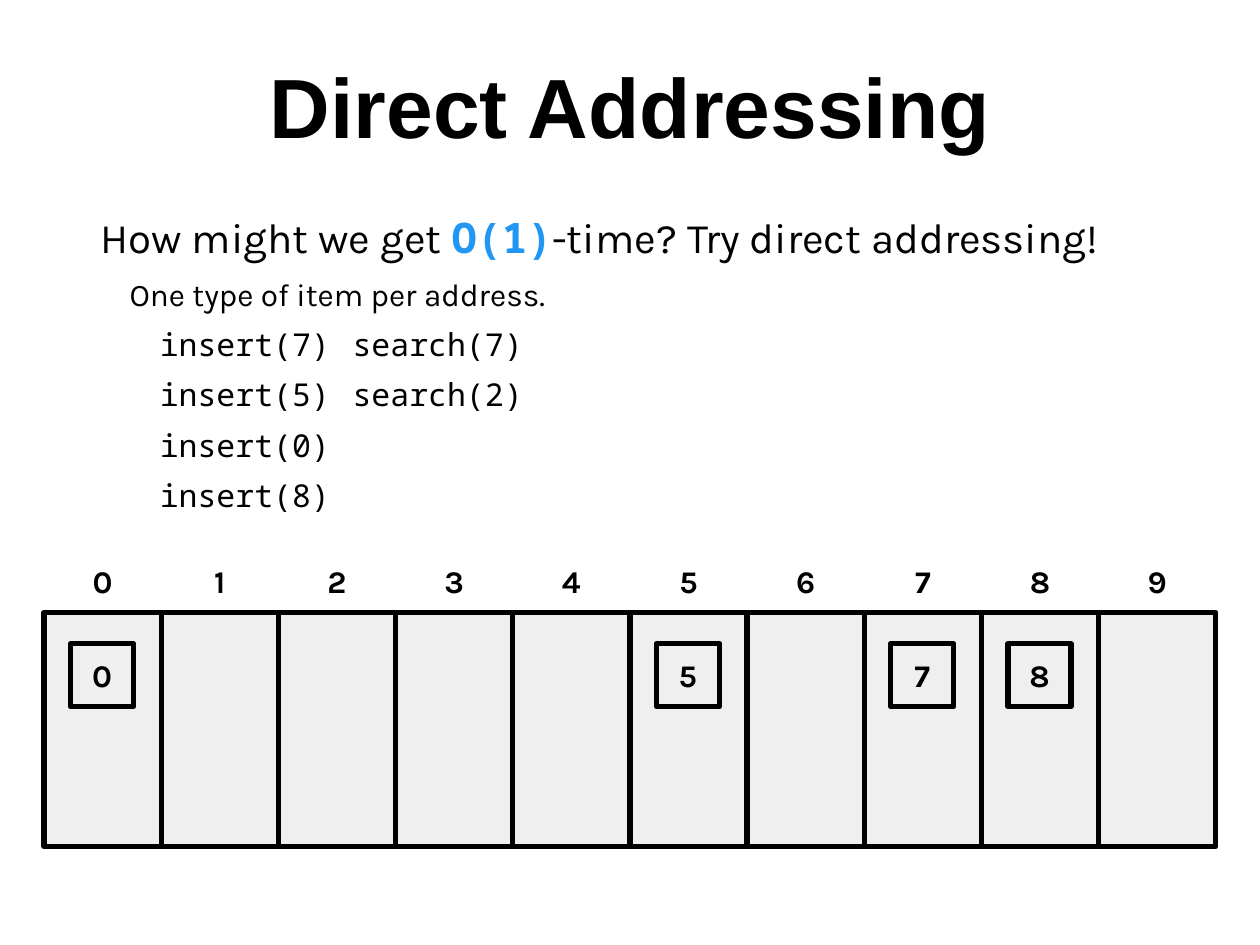
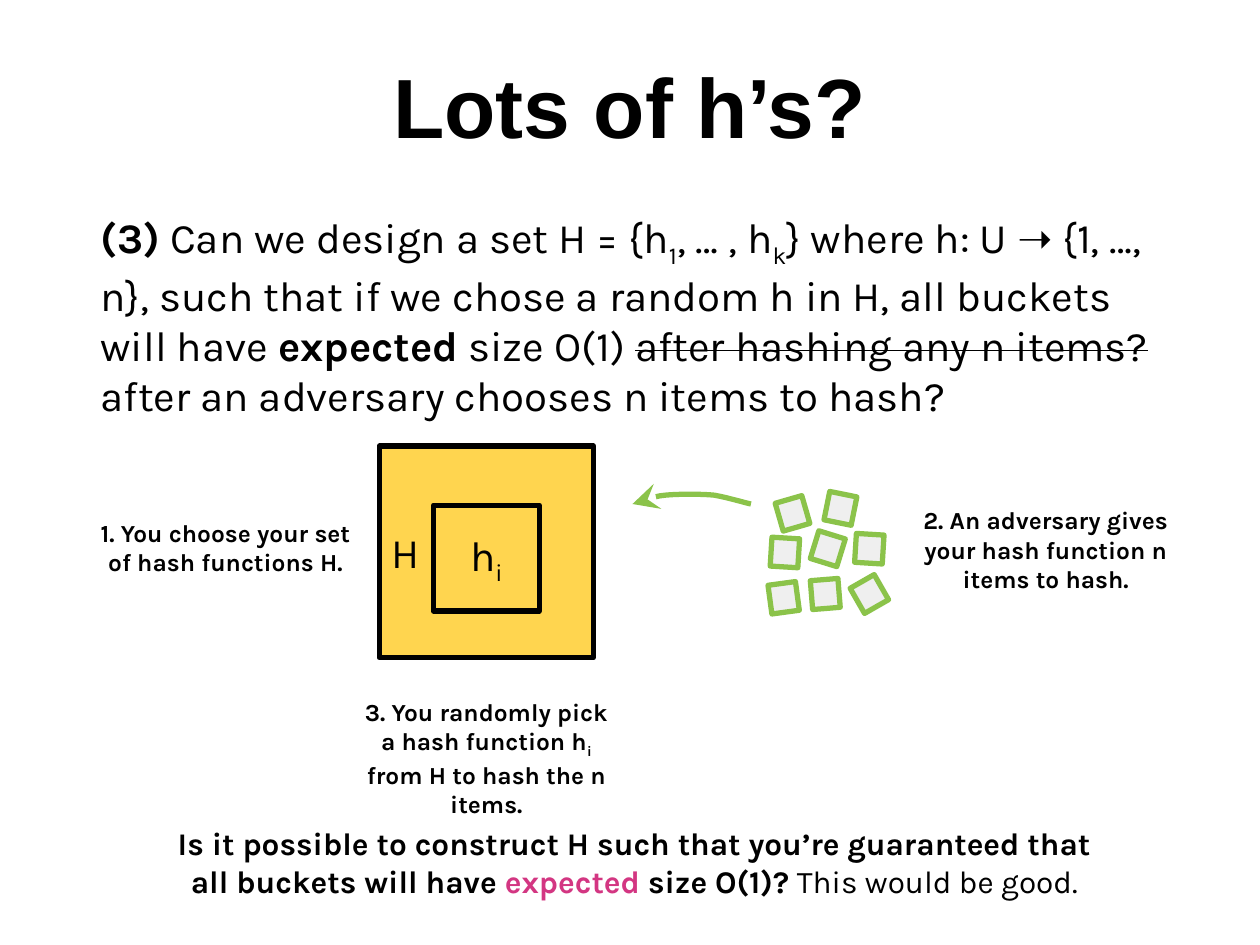
from lxml.etree import SubElement
from pptx import Presentation
from pptx.dml.color import RGBColor
from pptx.enum.shapes import MSO_SHAPE
from pptx.enum.text import MSO_ANCHOR, PP_ALIGN
from pptx.oxml.ns import qn
from pptx.util import Inches, Pt

BLACK = RGBColor(0x00, 0x00, 0x00)
GREY = RGBColor(0xEF, 0xEF, 0xEF)
BLUE = RGBColor(0x21, 0x96, 0xF3)
YELLOW = RGBColor(0xFF, 0xD5, 0x4F)
GREEN = RGBColor(0x8B, 0xC3, 0x4A)
PINK = RGBColor(0xD3, 0x36, 0x82)

TITLE_FONT, BODY_FONT, CODE_FONT = "Arial", "Karla", "Noto Sans Mono"
BODY_BOX = (0.7, 1.58, 8.67, 5.92)
BOLD = {"bold": True}
SUB = {"baseline": "-25000"}
STRIKE = {"strike": "sngStrike"}
LINE_WIDTH = Pt(3)


# Text helpers
def write(p, runs, size, align=PP_ALIGN.LEFT, bold=False, font=BODY_FONT, before=0):
    """Fill a paragraph from a string or from (text, style) pairs."""
    p.alignment = align
    p.space_before = Pt(before)
    for text, style in [(runs, {})] if isinstance(runs, str) else runs:
        r = p.add_run()
        r.text = text
        r.font.size = Pt(size)
        r.font.name = style.get("font", font)
        r.font.bold = style.get("bold", bold)
        r.font.color.rgb = style.get("color", BLACK)
        for name in ("baseline", "strike"):
            if name in style:
                r.font._element.set(name, style[name])


def set_up_frame(tf, anchor):
    tf.word_wrap = True
    tf.vertical_anchor = anchor
    tf.margin_left = tf.margin_right = tf.margin_top = tf.margin_bottom = Inches(0.1)


def add_text(slide, box, anchor=MSO_ANCHOR.TOP):
    tf = slide.shapes.add_textbox(*map(Inches, box)).text_frame
    set_up_frame(tf, anchor)
    return tf


def add_label(slide, box, runs, size, anchor=MSO_ANCHOR.TOP, font=BODY_FONT):
    tf = add_text(slide, box, anchor)
    write(tf.paragraphs[0], runs, size, PP_ALIGN.CENTER, True, font)


def indent_first_line(p, indent, tab=None):
    pPr = p._p.get_or_add_pPr()
    pPr.set("marL", "0")
    pPr.set("indent", str(Inches(indent)))
    if tab:
        tabs = SubElement(pPr, qn("a:tabLst"))
        SubElement(tabs, qn("a:tab"), pos=str(Inches(tab)), algn="l")


# Shape helpers
def add_box(slide, box, fill=GREY, line=BLACK, rotation=0):
    sp = slide.shapes.add_shape(MSO_SHAPE.RECTANGLE, *map(Inches, box))
    sp.shadow.inherit = False
    sp.fill.solid()
    sp.fill.fore_color.rgb = fill
    sp.line.color.rgb = line
    sp.line.width = LINE_WIDTH
    sp.rotation = rotation
    set_up_frame(sp.text_frame, MSO_ANCHOR.MIDDLE)
    return sp


def bezier_points(start, curves, steps=8):
    """Points along a chain of cubic curves, each (control, control, end)."""
    points = [start]
    for c1, c2, end in curves:
        for i in range(1, steps + 1):
            t = i / steps
            u = 1 - t
            points.append(tuple(
                u**3 * a + 3 * u * u * t * b + 3 * u * t * t * c + t**3 * d
                for a, b, c, d in zip(start, c1, c2, end)))
        start = end
    return points


def add_curved_arrow(slide, start, curves):
    points = [(Inches(x), Inches(y)) for x, y in bezier_points(start, curves)]
    builder = slide.shapes.build_freeform(*points[0])
    builder.add_line_segments(points[1:], close=False)
    sp = builder.convert_to_shape()
    sp.shadow.inherit = False
    sp.fill.background()
    sp.line.color.rgb = GREEN
    sp.line.width = LINE_WIDTH
    SubElement(sp.line._get_or_add_ln(), qn("a:tailEnd"), type="stealth", w="lg", len="lg")


def new_slide(prs, title):
    slide = prs.slides.add_slide(prs.slide_layouts[6])
    add_label(slide, (0, 0.33, 10, 1.25), title, 48, font=TITLE_FONT)
    return slide


# Slide 1
def direct_addressing(prs):
    slide = new_slide(prs, "Direct Addressing")
    tf = add_text(slide, BODY_BOX)
    write(tf.paragraphs[0], [
        ("How might we get ", {}),
        ("O(1)", {"font": CODE_FONT, "color": BLUE, "bold": True}),
        ("-time? Try direct addressing!", {})], 24)
    p = tf.add_paragraph()
    write(p, "One type of item per address.", 18, before=7.2)
    indent_first_line(p, 0.23)
    for calls in ("insert(7)\tsearch(7)", "insert(5)\tsearch(2)", "insert(0)", "insert(8)"):
        p = tf.add_paragraph()
        write(p, calls, 18, font=CODE_FONT, before=7.2)
        indent_first_line(p, 0.47, tab=2.42)

    # Address table: ten cells, their numbers, and the stored items
    left, cell = 0.35, 0.93
    for i in range(10):
        add_box(slide, (left + i * cell, 4.86, cell, 1.86))
    for i in range(10):
        add_label(slide, (left + i * cell, 4.39, cell, 0.44), str(i), 18, MSO_ANCHOR.MIDDLE)
    for item in (7, 5, 0, 8):
        sp = add_box(slide, (left + item * cell + 0.21, 5.11, 0.5, 0.5))
        write(sp.text_frame.paragraphs[0], str(item), 18, PP_ALIGN.CENTER, True)


# Slide 2
def lots_of_hashes(prs):
    slide = new_slide(prs, "Lots of h’s?")
    tf = add_text(slide, BODY_BOX)
    write(tf.paragraphs[0], [
        ("(3)", BOLD), (" Can we design a set H = {h", {}), ("1", SUB),
        (", … , h", {}), ("k", SUB),
        ("} where h: U ➝ {1, …, n}, such that if we chose a random h in H, "
         "all buckets will have ", {}),
        ("expected", BOLD), (" size O(1) ", {}),
        ("after hashing any n items?", STRIKE),
        (" after an adversary chooses n items to hash?", {})], 24)
    write(tf.add_paragraph(),
          "Is it possible to construct H such that you’re guaranteed that",
          18, PP_ALIGN.CENTER, True, before=231)
    write(tf.add_paragraph(), [
        ("all buckets will have ", {}), ("expected", {"color": PINK}),
        (" size O(1)?", {}), (" This would be good.", {"bold": False})],
        18, PP_ALIGN.CENTER, True)

    # Set H with the chosen function inside
    sp = add_box(slide, (3.01, 3.54, 1.7, 1.68), YELLOW)
    write(sp.text_frame.paragraphs[0], "H", 24)
    sp = add_box(slide, (3.44, 4.01, 0.84, 0.84), YELLOW)
    write(sp.text_frame.paragraphs[0], [("h", {}), ("i", SUB)], 24, PP_ALIGN.CENTER)

    # Steps of the game
    steps = [
        (0.7, 4.01, 0.69, "1. You choose your set of hash functions H."),
        (7.21, 3.91, 0.93, "2. An adversary gives your hash function n items to hash."),
        (2.77, 5.43, 0.93, [("3. You randomly pick a hash function h", {}), ("i", SUB),
                            (" from H to hash the n items.", {})]),
    ]
    for x, y, height, text in steps:
        add_label(slide, (x, y, 2.18, height), text, 14)

    # Adversary's items: left, top, rotation
    items = [(6.18, 3.96, -16.1), (6.46, 4.24, 17.2), (6.56, 3.92, 11.4),
             (6.11, 4.63, -7.7), (6.44, 4.6, -4.6), (6.79, 4.24, 3.5),
             (6.79, 4.6, -29.8), (6.12, 4.27, 3.5)]
    for x, y, rotation in items:
        add_box(slide, (x, y, 0.22, 0.23), line=GREEN, rotation=rotation)
    add_curved_arrow(slide, (5.96, 4), [
        ((5.91, 3.99), (5.78, 3.95), (5.67, 3.93)),
        ((5.56, 3.92), (5.39, 3.92), (5.28, 3.93)),
        ((5.17, 3.94), (5.06, 3.99), (5.02, 4))])


def main():
    prs = Presentation()
    prs.slide_width, prs.slide_height = Inches(10), Inches(7.5)
    direct_addressing(prs)
    lots_of_hashes(prs)
    prs.save("out.pptx")


if __name__ == "__main__":
    main()
